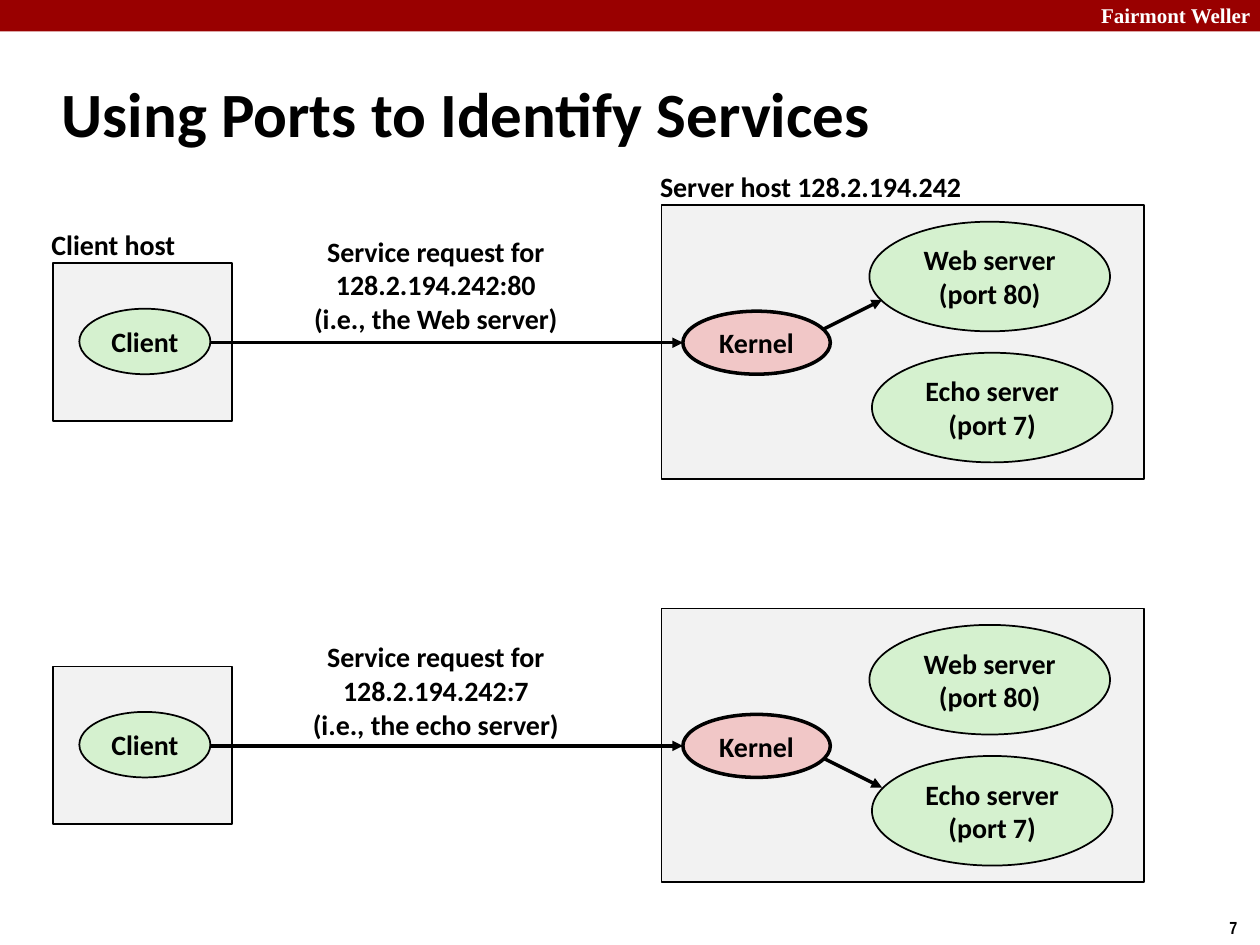
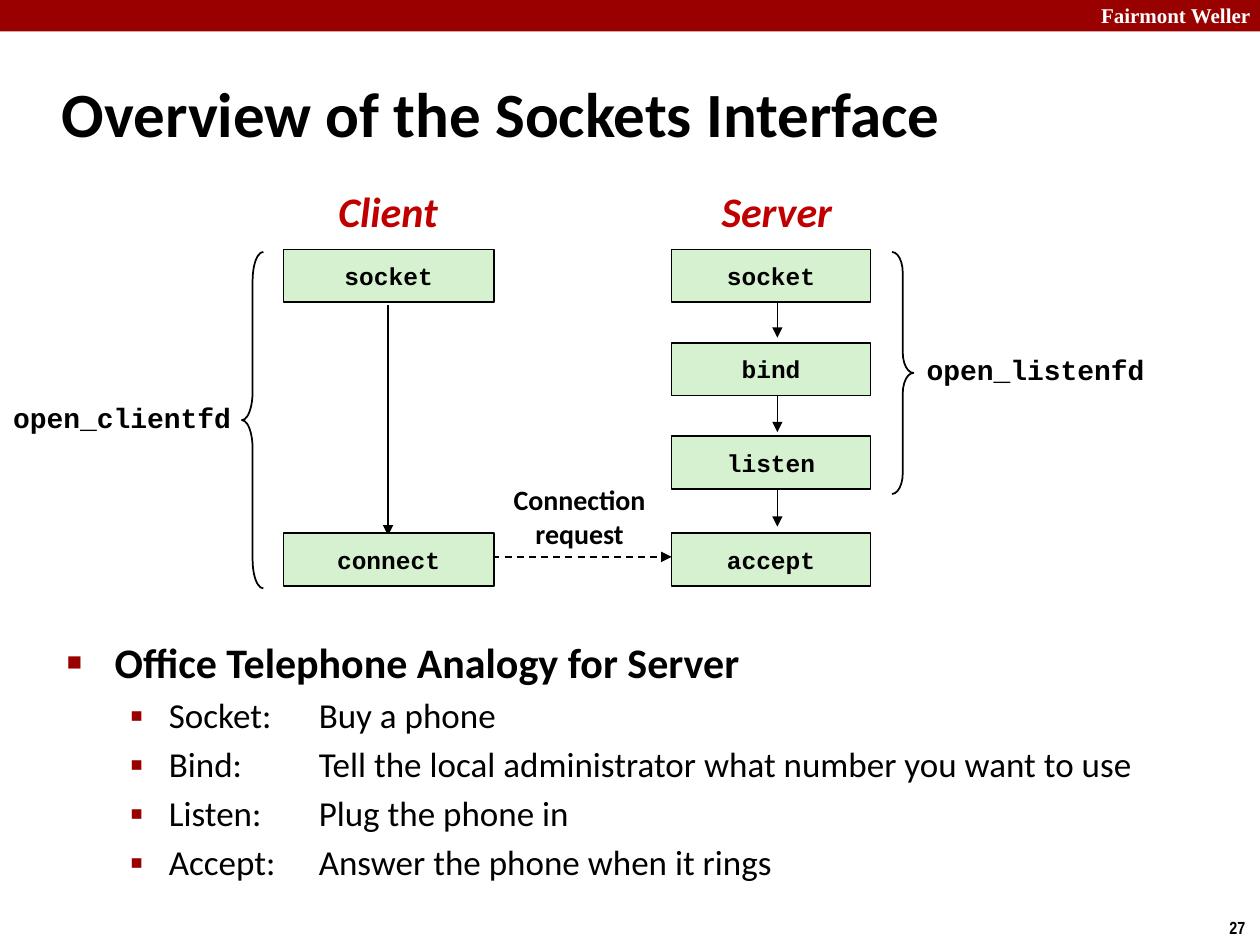
import pptx
import pptx.util
import pptx.dml.color
import pptx.enum.dml
import pptx.enum.shapes
import pptx.enum.text
import pptx.oxml
import pptx.oxml.ns
from lxml import etree

Inches, Pt = pptx.util.Inches, pptx.util.Pt
RGBColor = pptx.dml.color.RGBColor
SHAPE = pptx.enum.shapes.MSO_SHAPE
ALIGN = pptx.enum.text.PP_ALIGN
ANCHOR = pptx.enum.text.MSO_ANCHOR
FIT = pptx.enum.text.MSO_AUTO_SIZE
qn = pptx.oxml.ns.qn

# Shared colours and fonts
BLACK = RGBColor(0x00, 0x00, 0x00)
WHITE = RGBColor(0xFF, 0xFF, 0xFF)
BAND_RED = RGBColor(0x99, 0x00, 0x00)
HEADING_RED = RGBColor(0xC0, 0x00, 0x00)
HOST_GREY = RGBColor(0xF2, 0xF2, 0xF2)
GREEN = RGBColor(0xD5, 0xF1, 0xCF)
PINK = RGBColor(0xF1, 0xC7, 0xC7)
SANS, MONO = "Calibri", "Courier New"


def add(s, at, text="", kind=None, fill=None, line=1, align=ALIGN.CENTER,
        anchor=ANCHOR.MIDDLE, wrap=False, **font):
    """Add a preset shape, or a text box when no kind is given."""
    box = [Inches(v) for v in at]
    if kind is None:
        sp = s.shapes.add_textbox(*box)
        sp.text_frame.auto_size = FIT.SHAPE_TO_FIT_TEXT
    else:
        sp = s.shapes.add_shape(kind, *box)
        sp.shadow.inherit = False
        if fill is None:
            sp.fill.background()
        else:
            sp.fill.solid()
            sp.fill.fore_color.rgb = fill
        if line:
            sp.line.color.rgb = BLACK
            sp.line.width = Pt(line)
        else:
            sp.line.fill.background()
    tf = sp.text_frame
    tf.word_wrap = wrap
    tf.vertical_anchor = anchor
    color = font.pop("color", BLACK)
    style = {"name": SANS, "size": 16, "bold": True} | font
    style["size"] = Pt(style["size"])
    for i, words in enumerate(text.split("\n") if text else []):
        p = tf.paragraphs[0] if i == 0 else tf.add_paragraph()
        p.alignment = align
        r = p.add_run()
        r.text = words
        r.font.color.rgb = color
        for name, value in style.items():
            setattr(r.font, name, value)
    return sp


def arrow(s, x1, y1, x2, y2, width=1):
    """Add a straight line with a triangle at its end."""
    ln = s.shapes.add_connector(pptx.enum.shapes.MSO_CONNECTOR.STRAIGHT,
                                Inches(x1), Inches(y1), Inches(x2), Inches(y2))
    ln.line.color.rgb = BLACK
    ln.line.width = Pt(width)
    etree.SubElement(ln.line._get_or_add_ln(), qn("a:tailEnd"), type="triangle")
    etree.SubElement(ln._element.spPr, qn("a:effectLst"))
    return ln


prs = pptx.Presentation()
prs.slide_width, prs.slide_height = Inches(10), Inches(7.5)

# Band, page number and title of every slide
slides = []
for layout, title, number in [(5, "Using Ports to Identify Services", "7"),
                              (1, "Overview of the Sockets Interface", "27")]:
    s = prs.slides.add_slide(prs.slide_layouts[layout])
    slides.append(s)
    add(s, (0, 0, 10, 0.25), kind=SHAPE.RECTANGLE, fill=BAND_RED, line=0)
    add(s, (8.64, -0.03, 1.43, 0.3), "Fairmont Weller", align=ALIGN.LEFT,
        anchor=ANCHOR.TOP, wrap=True, name="Times New Roman", size=12, color=WHITE)
    add(s, (9.66, 7.23, 0.34, 0.27), number, align=ALIGN.LEFT,
        anchor=ANCHOR.TOP, name="Arial Narrow", size=10)
    sp = s.shapes.title
    sp.left, sp.top, sp.width, sp.height = [Inches(v) for v in (0.39, 0.48, 8.3, 0.83)]
    sp.text_frame.text = title
    sp.text_frame.vertical_anchor = ANCHOR.MIDDLE
    p = sp.text_frame.paragraphs[0]
    p.alignment = ALIGN.LEFT
    pPr = p._p.get_or_add_pPr()
    pPr.set("marL", str(Inches(0.13)))
    pPr.set("indent", str(Inches(-0.13)))
    r = p.runs[0]
    r.font.color.rgb = BLACK
    for name, value in {"name": SANS, "size": Pt(36), "bold": True}.items():
        setattr(r.font, name, value)

# Slide 1: the same two hosts twice, with a request to each service
s = slides[0]
add(s, (0.31, 1.76, 1.19, 0.37), "Client host", align=ALIGN.LEFT, anchor=ANCHOR.TOP)
add(s, (5.14, 1.3, 2.63, 0.37), "Server host 128.2.194.242", align=ALIGN.LEFT,
    anchor=ANCHOR.TOP)
for dy, port, service, text_top, start_y, end_y in [
        (0, 80, "Web", 1.81, 2.63, 2.38),
        (3.2, 7, "echo", 5.03, 6, 6.25)]:
    # Hosts
    add(s, (0.42, 2.09 + dy, 1.42, 1.25), kind=SHAPE.RECTANGLE, fill=HOST_GREY)
    add(s, (5.25, 1.63 + dy, 3.83, 2.17), kind=SHAPE.RECTANGLE, fill=HOST_GREY)
    # Servers
    for x, y, text in [(6.9, 1.76, "Web server\n(port 80)"),
                       (6.92, 2.8, "Echo server\n(port 7)")]:
        add(s, (x, y + dy, 1.91, 0.87), text, SHAPE.OVAL, GREEN)
    # Request, passed on by the kernel
    add(s, (2.01, text_top, 2.9, 0.9),
        f"Service request for\n128.2.194.242:{port}\n(i.e., the {service} server)",
        anchor=ANCHOR.TOP, wrap=True)
    arrow(s, 1.67, 2.72 + dy, 5.42, 2.72 + dy, 2)
    arrow(s, 6.5, start_y, 7, end_y, 2)
    add(s, (5.42, 2.47 + dy, 1.17, 0.5), "Kernel", SHAPE.OVAL, PINK, line=2)
    add(s, (0.63, 2.45 + dy, 1.04, 0.52), "Client", SHAPE.OVAL, GREEN)

# Slide 2: column headings
s = slides[1]
for x, width, text in [(2.58, 1, "Client"), (5.62, 1.09, "Server")]:
    add(s, (x, 1.42, width, 0.5), text, size=24, italic=True, color=HEADING_RED)

# Arrows between calls
arrow(s, 3.08, 2.42, 3.08, 4.25)
for i in range(3):
    arrow(s, 6.17, 2.35 + 0.75 * i, 6.17, 2.68 + 0.75 * i)
request = arrow(s, 3.33, 4.42, 5.33, 4.42)
request.line.dash_style = pptx.enum.dml.MSO_LINE.DASH
add(s, (3.97, 3.78, 1.26, 0.64), "Connection\nrequest")

# Calls
for x, width, calls in [
        (2.25, 1.67, {"socket": 1.98, "connect": 4.23}),
        (5.33, 1.58, {"socket": 1.98, "bind": 2.72, "listen": 3.46, "accept": 4.23})]:
    for call, y in calls.items():
        add(s, (x, y, width, 0.42), call, SHAPE.RECTANGLE, GREEN, name=MONO, size=14)

# Braces with the wrapper functions
for kind, x, height, bend, label_x, label_y, text in [
        (SHAPE.RIGHT_BRACE, 7.08, 1.92, 0.96, 7.25, 2.75, "open_listenfd"),
        (SHAPE.LEFT_BRACE, 1.92, 2.67, 1.33, 0, 3.13, "open_clientfd")]:
    sp = add(s, (x, 2, 0.17, height), kind=kind)
    sp.adjustments[0] = bend
    add(s, (label_x, label_y, 1.94, 0.37), text, name=MONO)

# Bulleted list with a tab stop
sp = s.placeholders[1]
sp.left, sp.top, sp.width, sp.height = [Inches(v) for v in (0.43, 5, 9.15, 1.93)]
tf = sp.text_frame
tf.auto_size = FIT.NONE
levels = [{"size": 24, "bold": True, "margin": 0.38, "hang": 0.38, "bullet": "■", "scale": 60},
          {"size": 20, "bold": False, "margin": 0.81, "hang": 0.31, "bullet": "▪", "scale": 110}]
for i, text in enumerate([
        "Office Telephone Analogy for Server",
        "Socket: \tBuy a phone",
        "Bind: \tTell the local administrator what number you want to use",
        "Listen: \tPlug the phone in",
        "Accept: \tAnswer the phone when it rings"]):
    p = tf.add_paragraph() if i else tf.paragraphs[0]
    p.level = min(i, 1)
    look = levels[p.level]
    p.space_before = Pt(look["size"] * 0.2)
    r = p.add_run()
    r.text = text
    r.font.color.rgb = BLACK
    for name, value in {"name": SANS, "size": Pt(look["size"]), "bold": look["bold"]}.items():
        setattr(r.font, name, value)
    pPr = p._p.get_or_add_pPr()
    pPr.set("marL", str(Inches(look["margin"])))
    pPr.set("indent", str(Inches(-look["hang"])))
    color = etree.SubElement(pPr, qn("a:buClr"))
    etree.SubElement(color, qn("a:srgbClr"), val=str(BAND_RED))
    etree.SubElement(pPr, qn("a:buSzPct"), val=str(look["scale"] * 1000))
    etree.SubElement(pPr, qn("a:buChar"), char=look["bullet"])
    tabs = etree.SubElement(pPr, qn("a:tabLst"))
    etree.SubElement(tabs, qn("a:tab"), pos=str(Inches(2)), algn="l")

prs.save("out.pptx")
